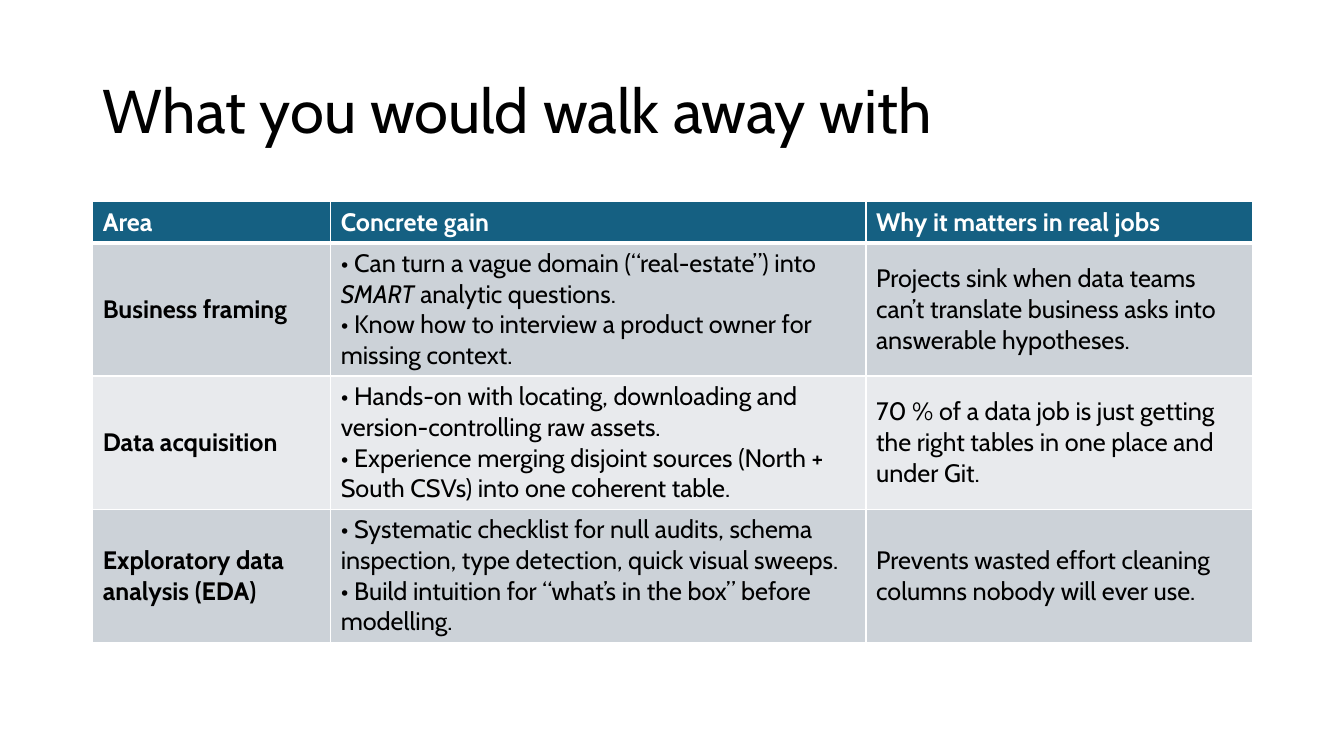
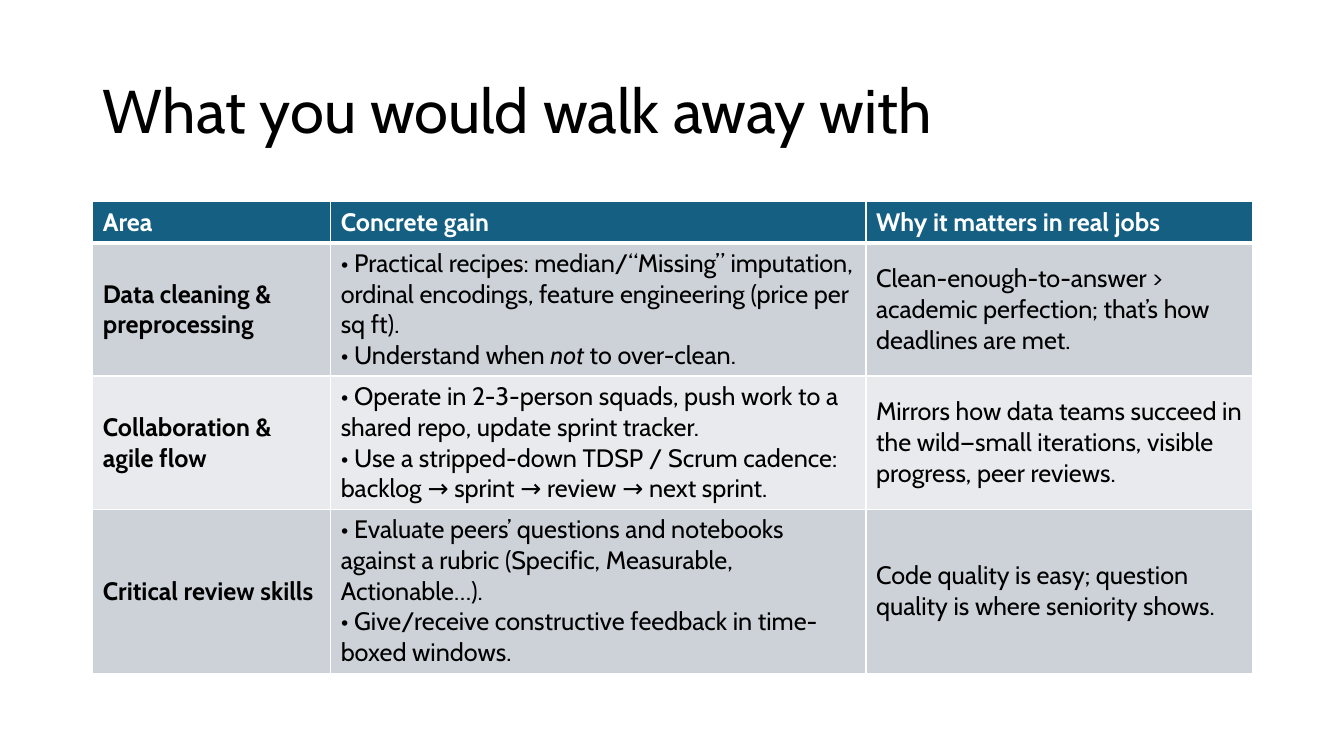
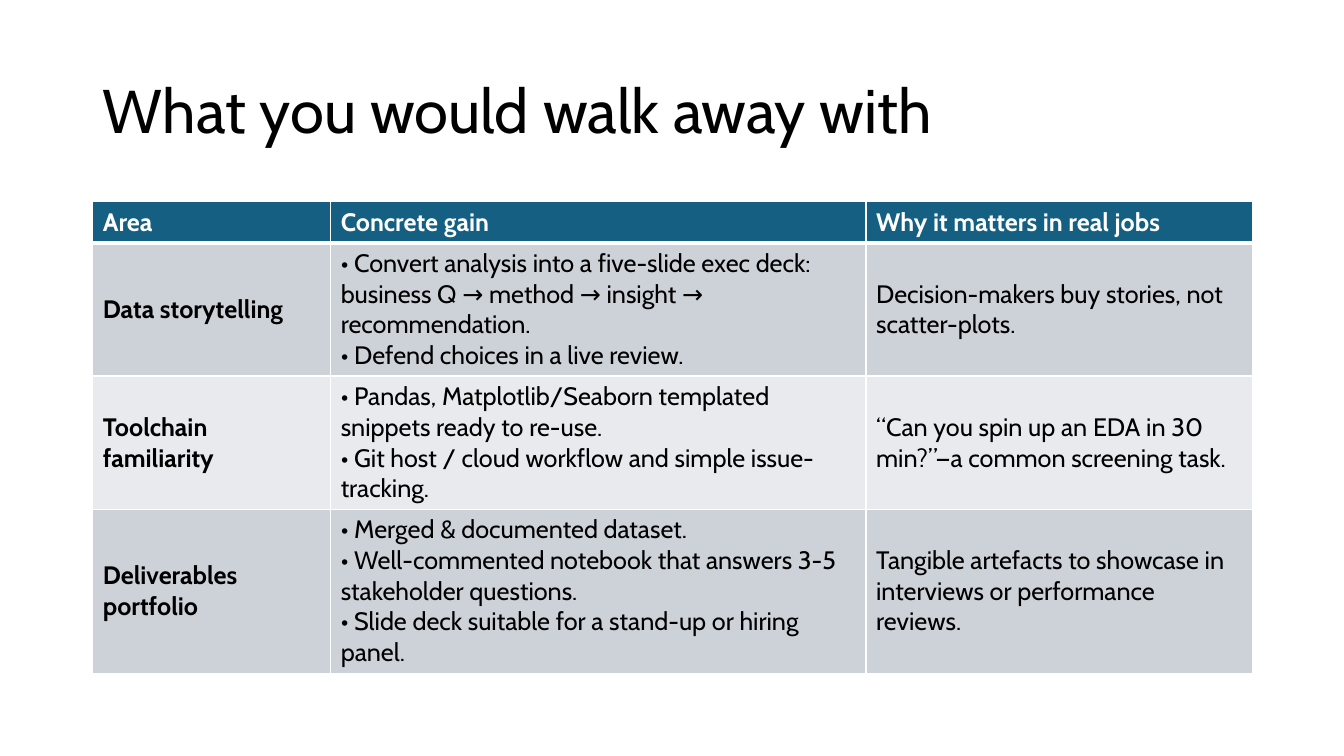
from lxml import etree
from pptx import Presentation
from pptx import util as u
from pptx.dml.color import RGBColor
from pptx.enum import text
from pptx.oxml import ns

COLORS = {
    "header": "156082",
    "odd": "CCD2D8",
    "even": "E8EAED",
    "rule": "FFFFFF",
    "header_text": "FFFFFF",
    "body_text": "000000",
}
FONT = "Cabin"
TITLE = "What you would walk away with"
HEADINGS = ("Area", ["Concrete gain"], "Why it matters in real jobs")
COLUMN_WIDTHS = (2.36, 5.31, 3.83)
ROW_HEIGHT = 0.41

TOPIC_GROUPS = [
    [
        (
            "Business framing",
            [
                "• Can turn a vague domain (“real-estate”) into *SMART* analytic questions.",
                "• Know how to interview a product owner for missing context.",
            ],
            "Projects sink when data teams can’t translate business asks into answerable hypotheses.",
        ),
        (
            "Data acquisition",
            [
                "• Hands-on with locating, downloading and version-controlling raw assets.",
                "• Experience merging disjoint sources (North + South CSVs) into one coherent table.",
            ],
            "70 % of a data job is just getting the right tables in one place and under Git.",
        ),
        (
            "Exploratory data analysis (EDA)",
            [
                "• Systematic checklist for null audits, schema inspection, type detection, quick visual sweeps.",
                "• Build intuition for “what’s in the box” before modelling.",
            ],
            "Prevents wasted effort cleaning columns nobody will ever use.",
        ),
    ],
    [
        (
            "Data cleaning & preprocessing",
            [
                "• Practical recipes: median/“Missing” imputation, ordinal encodings, "
                "feature engineering (price per sq ft).",
                "• Understand when *not* to over-clean.",
            ],
            "Clean-enough-to-answer > academic perfection; that’s how deadlines are met.",
        ),
        (
            "Collaboration & agile flow",
            [
                "• Operate in 2-3-person squads, push work to a shared repo, update sprint tracker.",
                "• Use a stripped-down TDSP / Scrum cadence: backlog → sprint → review → next sprint.",
            ],
            "Mirrors how data teams succeed in the wild—small iterations, visible progress, peer reviews.",
        ),
        (
            "Critical review skills",
            [
                "• Evaluate peers’ questions and notebooks against a rubric "
                "(Specific, Measurable, Actionable…).",
                "• Give/receive constructive feedback in time-boxed windows.",
            ],
            "Code quality is easy; question quality is where seniority shows.",
        ),
    ],
    [
        (
            "Data storytelling",
            [
                "• Convert analysis into a five-slide exec deck: "
                "business Q → method → insight → recommendation.",
                "• Defend choices in a live review.",
            ],
            "Decision-makers buy stories, not scatter-plots.",
        ),
        (
            "Toolchain familiarity",
            [
                "• Pandas, Matplotlib/Seaborn templated snippets ready to re-use.",
                "• Git host / cloud workflow and simple issue-tracking.",
            ],
            "“Can you spin up an EDA in 30 min?”—a common screening task.",
        ),
        (
            "Deliverables portfolio",
            [
                "• Merged & documented dataset.",
                "• Well-commented notebook that answers 3-5 stakeholder questions.",
                "• Slide deck suitable for a stand-up or hiring panel.",
            ],
            "Tangible artefacts to showcase in interviews or performance reviews.",
        ),
    ],
]


def add_run(paragraph, words, size, color, bold=False, italic=False):
    run = paragraph.add_run()
    run.text = words
    run.font.name = FONT
    run.font.size = u.Pt(size)
    run.font.bold = bold
    run.font.italic = italic
    run.font.color.rgb = RGBColor.from_string(COLORS[color])


def add_borders(cell, top, bottom):
    widths = {"lnL": 1, "lnR": 1, "lnT": top, "lnB": bottom}
    properties = cell._tc.get_or_add_tcPr()
    for position, (side, width) in enumerate(widths.items()):
        line = etree.Element(ns.qn(f"a:{side}"), w=str(u.Pt(width)))
        fill = etree.SubElement(line, ns.qn("a:solidFill"))
        etree.SubElement(fill, ns.qn("a:srgbClr"), val=COLORS["rule"])
        properties.insert(position, line)


deck = Presentation()
deck.slide_width = u.Inches(13.33)
deck.slide_height = u.Inches(7.5)

for topics in TOPIC_GROUPS:
    slide = deck.slides.add_slide(deck.slide_layouts[5])

    title = slide.shapes.title
    title.left, title.top = u.Inches(0.92), u.Inches(0.4)
    title.width, title.height = u.Inches(11.5), u.Inches(1.45)
    title.text_frame.auto_size = text.MSO_AUTO_SIZE.NONE
    title.text_frame.vertical_anchor = text.MSO_ANCHOR.MIDDLE
    heading = title.text_frame.paragraphs[0]
    heading.alignment = text.PP_ALIGN.LEFT
    heading.line_spacing = 0.9
    add_run(heading, TITLE, 44, "body_text")

    rows = [HEADINGS, *topics]
    gains = slide.shapes.add_table(
        len(rows), len(COLUMN_WIDTHS), u.Inches(0.92), u.Inches(2),
        u.Inches(sum(COLUMN_WIDTHS)), u.Inches(ROW_HEIGHT * len(rows)),
    ).table
    for column, width in zip(gains.columns, COLUMN_WIDTHS):
        column.width = u.Inches(width)

    for row_number, row in enumerate(rows):
        is_header = row_number == 0
        band = "header" if is_header else "odd" if row_number % 2 else "even"
        color = "header_text" if is_header else "body_text"
        for column_number, content in enumerate(row):
            cell = gains.cell(row_number, column_number)
            cell.vertical_anchor = text.MSO_ANCHOR.MIDDLE
            cell.fill.solid()
            cell.fill.fore_color.rgb = RGBColor.from_string(COLORS[band])
            add_borders(cell, 3 if row_number == 1 else 1, 3 if is_header else 1)
            bold = is_header or column_number == 0
            paragraph = cell.text_frame.paragraphs[0]
            lines = content if isinstance(content, list) else [content]
            for line_number, line in enumerate(lines):
                if line_number:
                    paragraph.add_line_break()
                for part_number, part in enumerate(line.split("*")):
                    add_run(paragraph, part, 18, color, bold, part_number % 2 == 1)

deck.save("out.pptx")
